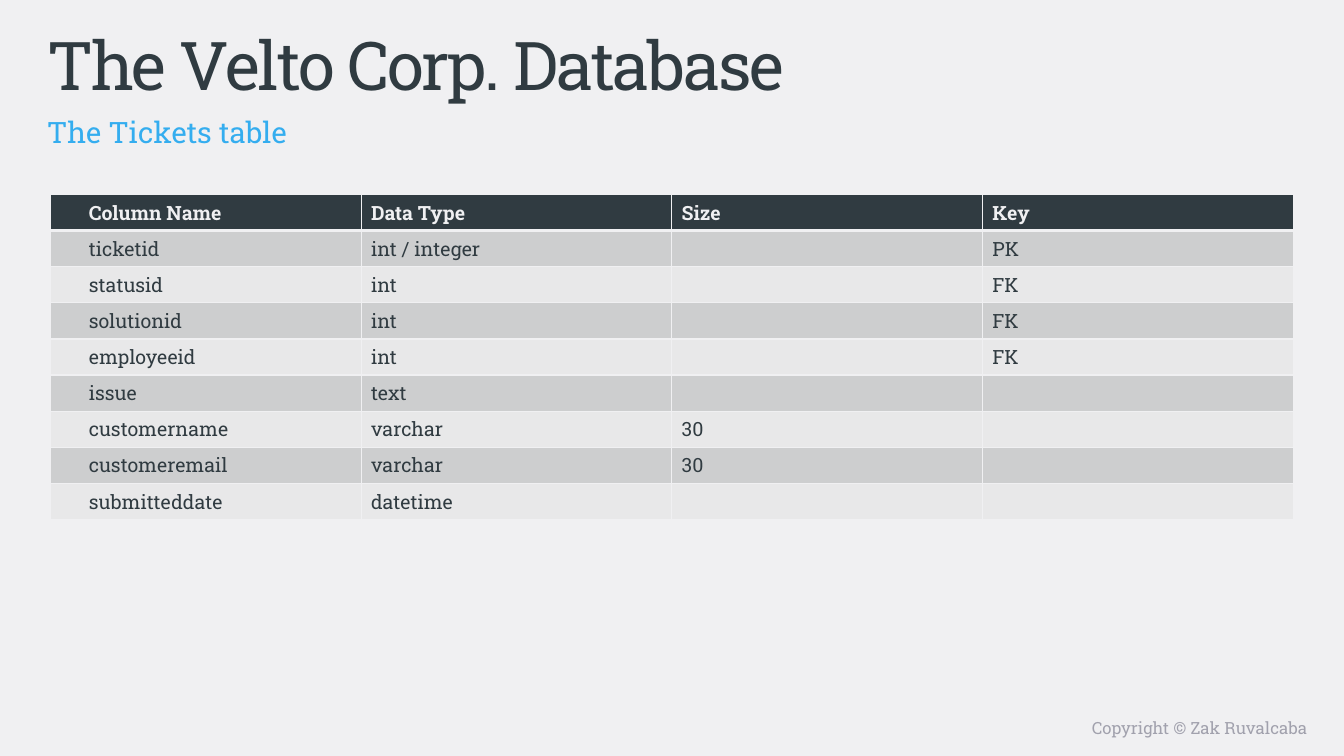
from dataclasses import dataclass

from lxml import etree
from pptx import Presentation
from pptx.dml.color import RGBColor
from pptx.enum import text
from pptx.oxml.ns import qn
from pptx.util import Cm, Pt


@dataclass(frozen=True)
class Theme:
    font: str = "Roboto Slab"
    back: str = "F0F0F2"
    dark: str = "303B41"
    blue: str = "34ADEF"
    gray: str = "A1A1AD"
    bands: tuple = ("CDCECF", "E8E8E9")
    title: int = 48
    sub: int = 21
    body: int = 14
    foot: int = 12


theme = Theme()


def write(para, words, size, color, bold=False):
    run = para.add_run()
    run.text = words
    run.font.name = theme.font
    run.font.size = Pt(size)
    run.font.bold = bold
    run.font.color.rgb = RGBColor.from_string(color)
    return run


def edge(cell, side, width):
    """Draw one cell border in the background colour."""
    line = etree.SubElement(cell._tc.get_or_add_tcPr(), qn(f"a:ln{side}"), w=str(Pt(width)))
    fill = etree.SubElement(line, qn("a:solidFill"))
    etree.SubElement(fill, qn("a:srgbClr"), val=theme.back)


deck = Presentation()
deck.slide_width, deck.slide_height = Cm(33.87), Cm(19.05)
slide = deck.slides.add_slide(deck.slide_layouts[6])
slide.background.fill.solid()
slide.background.fill.fore_color.rgb = RGBColor.from_string(theme.back)

# Headings and footer: words, left, top, width, height, top inset, size, colour
labels = [
    ("The Velto Corp. Database", 0.94, 0.53, 29.87, 2.01, 0.06, theme.title, theme.dark),
    ("The Tickets table", 0.94, 2.51, 29.87, 0.99, 0.36, theme.sub, theme.blue),
    ("Copyright © Zak Ruvalcaba", 16.94, 17.93, 16.26, 0.79, 0.13, theme.foot, theme.gray),
]
runs = []
for words, left, top, width, height, inset, size, color in labels:
    box = slide.shapes.add_textbox(Cm(left), Cm(top), Cm(width), Cm(height))
    frame = box.text_frame
    frame.word_wrap = True
    frame.margin_top = Cm(inset)
    runs.append(write(frame.paragraphs[0], words, size, color))
runs[0].font._element.set("spc", "-150")
frame.vertical_anchor = text.MSO_ANCHOR.MIDDLE
frame.paragraphs[0].alignment = text.PP_ALIGN.RIGHT

# Table of columns
rows = [
    ("Column Name", "Data Type", "Size", "Key"),
    ("ticketid", "int / integer", "", "PK"),
    ("statusid", "int", "", "FK"),
    ("solutionid", "int", "", "FK"),
    ("employeeid", "int", "", "FK"),
    ("issue", "text", "", ""),
    ("customername", "varchar", "30", ""),
    ("customeremail", "varchar", "30", ""),
    ("submitteddate", "datetime", "", ""),
]
high = 0.91
grid = slide.shapes.add_table(
    len(rows), 4, Cm(1.27), Cm(4.9), Cm(31.32), Cm(high * len(rows))
).table
for r, row in enumerate(rows):
    grid.rows[r].height = Cm(high)
    head = r == 0
    for c, words in enumerate(row):
        cell = grid.cell(r, c)
        cell.margin_left = Cm(0.97 if c == 0 else 0.25)
        for side in "LRTB":
            thick = (head and side == "B") or (r == 1 and side == "T")
            edge(cell, side, 3 if thick else 1)
        cell.fill.solid()
        fill = theme.dark if head else theme.bands[(r - 1) % 2]
        cell.fill.fore_color.rgb = RGBColor.from_string(fill)
        para = cell.text_frame.paragraphs[0]
        if words:
            write(para, words, theme.body, theme.back if head else theme.dark, head)
        else:
            etree.SubElement(para._p, qn("a:endParaRPr"), sz=str(theme.body * 100))

deck.save("out.pptx")
